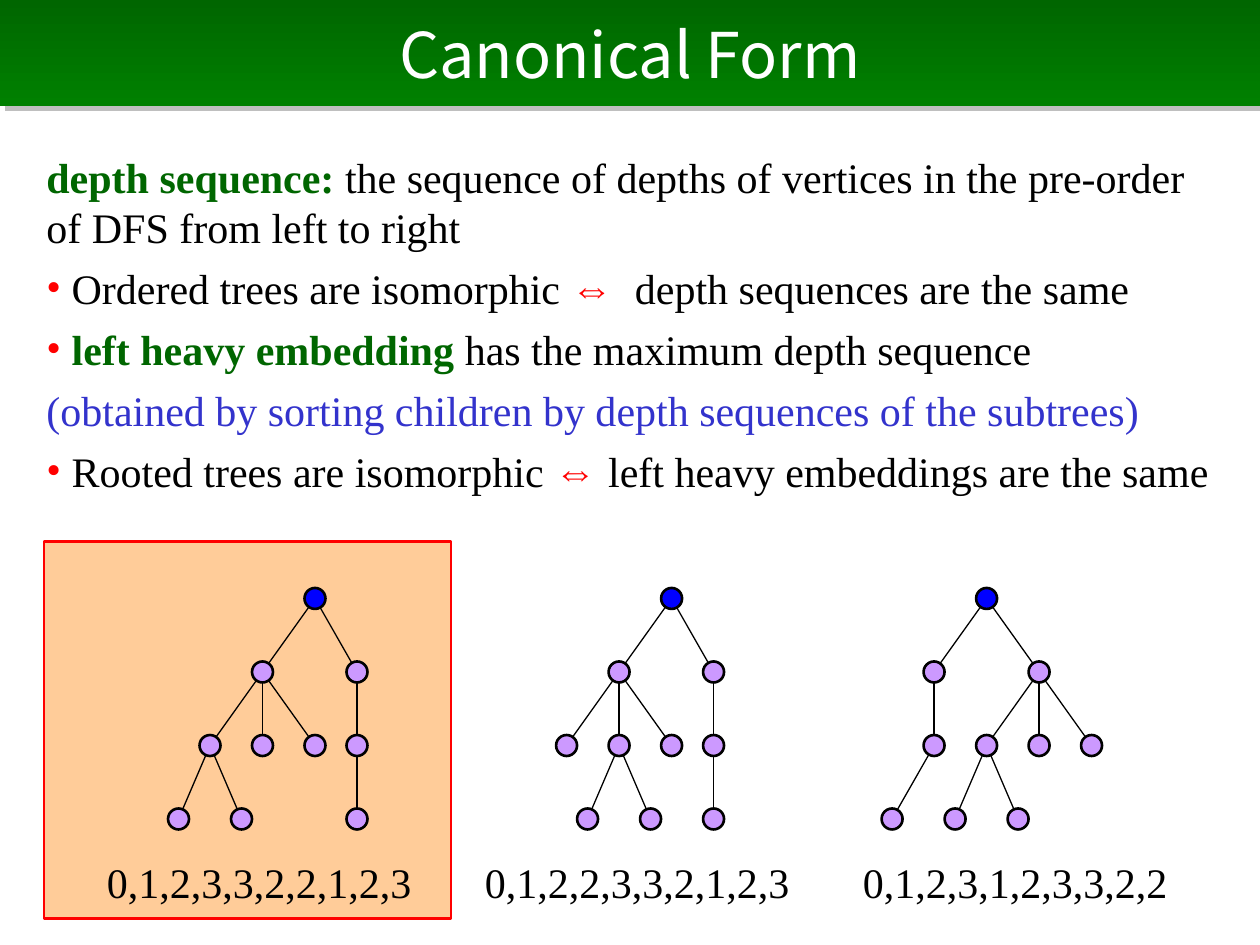
from dataclasses import dataclass

from pptx import Presentation
from pptx.dml.color import RGBColor
from pptx.enum import shapes, text
from pptx.oxml import ns, parse_xml
from pptx.util import Inches, Pt


@dataclass(frozen=True)
class Theme:
    serif: str = "Times New Roman"
    sans: str = "Arial"
    head: str = "Noto Sans CJK JP"
    title: int = 36
    body: int = 24
    green: str = "006600"
    leaf: str = "008000"
    red: str = "FF0000"
    blue: str = "3333CC"
    black: str = "000000"
    white: str = "FFFFFF"
    peach: str = "FFCC99"
    root: str = "0000FF"
    node: str = "CC99FF"
    shade: str = "808080"


@dataclass(frozen=True)
class Span:
    words: str
    color: str
    bold: bool = False
    font: str = Theme.serif


@dataclass(frozen=True)
class Line:
    spans: tuple[Span, ...]
    bullet: bool = False


@dataclass(frozen=True)
class Tree:
    root: float
    depths: tuple[int, ...]
    steps: tuple[int, ...]


T = Theme()
STEP = 1 / 12
TOP = 4.75
DROP = 7 * STEP
SIZE = 2 * STEP
PITCH = 3
ARROW = Span("⇔ ", T.red, True, T.sans)

LINES = (
    Line((Span("depth sequence:", T.green, True),
          Span(" the sequence of depths of vertices in the pre-order of DFS from left to right", T.black))),
    Line((Span("Ordered trees are isomorphic ", T.black), ARROW,
          Span(" depth sequences are the same", T.black)), True),
    Line((Span("left heavy embedding", T.green, True),
          Span(" has the maximum depth sequence", T.black)), True),
    Line((Span("(obtained by sorting children by depth sequences of the subtrees)", T.blue),)),
    Line((Span("Rooted trees are isomorphic ", T.black), ARROW,
          Span("left heavy embeddings are the same", T.black)), True),
)

TREES = (
    Tree(2.5, (0, 1, 2, 3, 3, 2, 2, 1, 2, 3), (0, -5, -10, -13, -7, -5, 0, 4, 4, 4)),
    Tree(5.33, (0, 1, 2, 2, 3, 3, 2, 1, 2, 3), (0, -5, -10, -5, -8, -2, 0, 4, 4, 4)),
    Tree(7.83, (0, 1, 2, 3, 1, 2, 3, 3, 2, 2), (0, -5, -5, -9, 5, 0, -3, 3, 5, 10)),
)


def rgb(code: str) -> RGBColor:
    return RGBColor.from_string(code)


def xml(tag: str, attrs: str = "", inner: str = ""):
    return parse_xml(f"<a:{tag} {ns.nsdecls('a')} {attrs}>{inner}</a:{tag}>")


def add_run(para, span: Span, size: int) -> None:
    run = para.add_run()
    run.text = span.words
    font = run.font
    font.name, font.size, font.bold = span.font, Pt(size), span.bold
    font.color.rgb = rgb(span.color)


def add_form(slide, kind, box: tuple[float, ...], fill: str, line: str) -> None:
    form = slide.shapes.add_shape(kind, *map(Inches, box))
    form.shadow.inherit = False
    form.fill.solid()
    form.fill.fore_color.rgb = rgb(fill)
    form.line.color.rgb = rgb(line)
    form.line.width = Pt(1.5)


def add_edge(slide, start: tuple[float, float], end: tuple[float, float]) -> None:
    edge = slide.shapes.add_connector(
        shapes.MSO_CONNECTOR.STRAIGHT, *map(Inches, start + end))
    edge.line.color.rgb = rgb(T.black)
    edge.line.width = Pt(0.75)
    edge._element.spPr.append(xml("effectLst"))


def add_title(slide) -> None:
    title = slide.shapes.title
    title.left, title.top, title.width, title.height = map(Inches, (0, 0, 10, 0.84))
    title.fill.gradient()
    title.fill.gradient_angle = 270
    for stop, color, place in zip(title.fill.gradient_stops, (T.green, T.leaf), (0, 1)):
        stop.color.rgb = rgb(color)
        stop.position = place
    title.shadow.inherit = False
    tone = f'<a:srgbClr val="{T.shade}"><a:alpha val="50000"/></a:srgbClr>'
    cast = xml("outerShdw", f'blurRad="0" dist="{Pt(4.2)}" dir="2700000" algn="ctr" rotWithShape="0"', tone)
    title._element.spPr.find(ns.qn("a:effectLst")).append(cast)
    frame = title.text_frame
    frame.auto_size = text.MSO_AUTO_SIZE.NONE
    frame.vertical_anchor = text.MSO_ANCHOR.MIDDLE
    para = frame.paragraphs[0]
    para.alignment = text.PP_ALIGN.CENTER
    add_run(para, Span("Canonical Form", T.white, font=T.head), T.title)


def add_body(slide) -> None:
    box = slide.shapes.add_textbox(*map(Inches, (0.27, 1.15, 9.45, 3.62)))
    frame = box.text_frame
    frame.word_wrap = True
    for num, line in enumerate(LINES):
        para = frame.add_paragraph() if num else frame.paragraphs[0]
        para.space_before = Pt(6 if num else 0)
        if line.bullet:
            props = para._p.get_or_add_pPr()
            props.set("marL", str(Inches(0.2)))
            props.set("indent", str(Inches(-0.2)))
            props.append(xml("buClr", inner=f'<a:srgbClr val="{T.red}"/>'))
            props.append(xml("buFont", f'typeface="{T.serif}"'))
            props.append(xml("buChar", 'char="•"'))
        for span in line.spans:
            add_run(para, span, T.body)


def add_tree(slide, tree: Tree) -> None:
    spots = [(tree.root + step * STEP, TOP + depth * DROP)
             for depth, step in zip(tree.depths, tree.steps)]
    last: dict[int, tuple[float, float]] = {}
    for depth, spot in zip(tree.depths, spots):
        if depth:
            add_edge(slide, last[depth - 1], spot)
        last[depth] = spot
    for depth, (x, y) in zip(tree.depths, spots):
        box = (x - SIZE / 2, y - SIZE / 2, SIZE, SIZE)
        add_form(slide, shapes.MSO_SHAPE.OVAL, box, T.node if depth else T.root, T.black)


def add_codes(slide) -> None:
    box = slide.shapes.add_textbox(*map(Inches, (0.75, 6.75, 9, 0.5)))
    box.text_frame.word_wrap = True
    para = box.text_frame.paragraphs[0]
    stops = "".join(f'<a:tab pos="{Inches(PITCH * num)}" algn="l"/>'
                    for num in range(1, len(TREES)))
    para._p.get_or_add_pPr().append(xml("tabLst", inner=stops))
    codes = (",".join(map(str, tree.depths)) for tree in TREES)
    add_run(para, Span("\t".join(codes), T.black), T.body)


def main() -> None:
    deck = Presentation()
    deck.slide_width, deck.slide_height = Inches(10), Inches(7.5)
    slide = deck.slides.add_slide(deck.slide_layouts[5])
    add_title(slide)
    add_form(slide, shapes.MSO_SHAPE.RECTANGLE, (0.35, 4.3, 3.23, 2.99), T.peach, T.red)
    add_body(slide)
    for tree in TREES:
        add_tree(slide, tree)
    add_codes(slide)
    deck.save("out.pptx")


if __name__ == "__main__":
    main()
